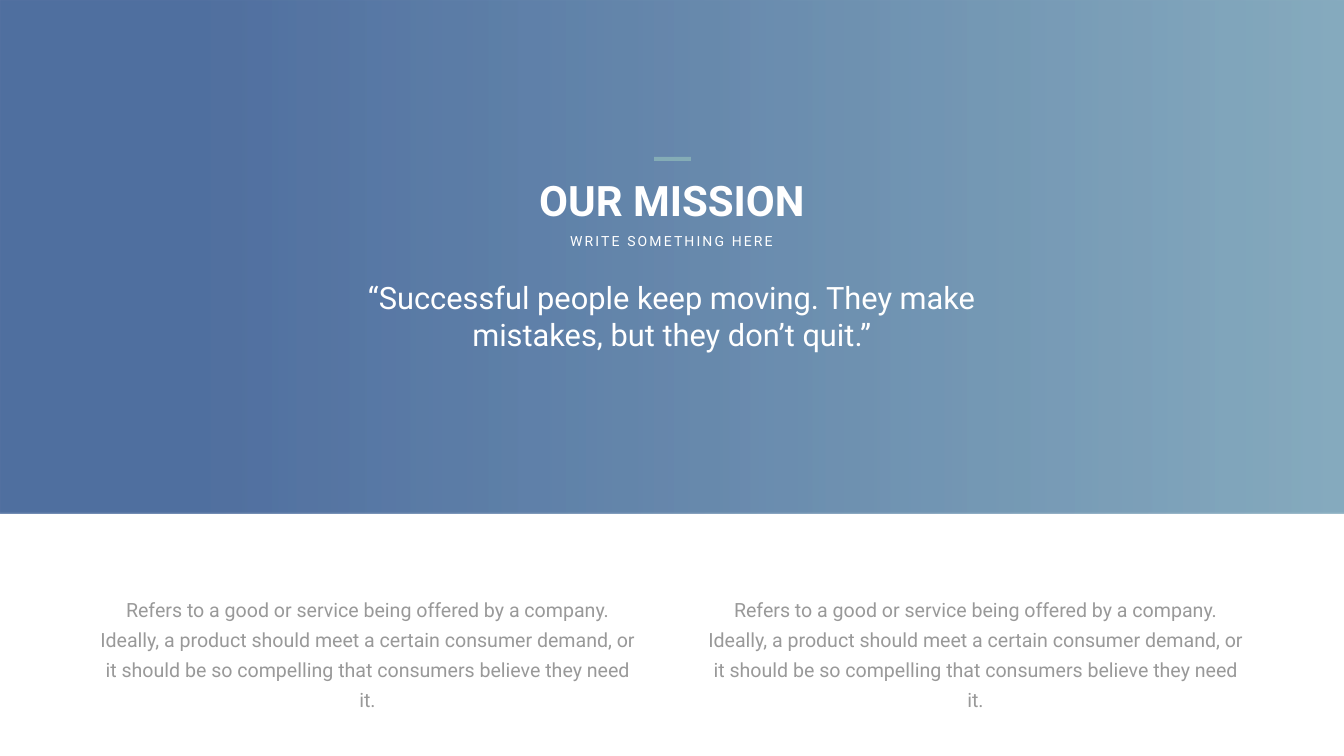
from dataclasses import dataclass

from lxml.etree import SubElement
from pptx import Presentation
from pptx.dml.color import RGBColor
from pptx.enum.shapes import MSO_SHAPE
from pptx.enum.text import MSO_ANCHOR, MSO_AUTO_SIZE, PP_ALIGN
from pptx.oxml.ns import qn
from pptx.util import Pt

EMU_PER_PX = 18143
SLIDE_WIDTH, SLIDE_HEIGHT = 1344, 756


@dataclass(frozen=True)
class Theme:
    font: str = "Roboto"
    white: RGBColor = RGBColor(0xFF, 0xFF, 0xFF)
    grey: RGBColor = RGBColor(0x99, 0x99, 0x99)
    accent: RGBColor = RGBColor(0x84, 0xAC, 0xB6)
    banner_start: RGBColor = RGBColor(0x26, 0x4D, 0x89)
    banner_end: RGBColor = RGBColor(0x69, 0x97, 0xAF)
    banner_opacity: int = 80
    title_size: int = 60
    quote_size: int = 44
    body_size: int = 28
    subtitle_size: int = 20
    subtitle_tracking: int = 3
    body_leading: int = 43


THEME = Theme()


def px(length):
    return length * EMU_PER_PX


def add_block(slide, left, top, width, height):
    block = slide.shapes.add_shape(
        MSO_SHAPE.RECTANGLE, px(left), px(top), px(width), px(height))
    block.shadow.inherit = False
    block.line.fill.background()
    return block


def add_banner(slide, height):
    banner = add_block(slide, 0, 0, SLIDE_WIDTH, height)
    banner.fill.gradient()
    banner.fill.gradient_angle = 0
    start, end = banner.fill.gradient_stops
    start.position, start.color.rgb = 0.15, THEME.banner_start
    end.position, end.color.rgb = 1, THEME.banner_end
    for color in banner._element.spPr.iter(qn("a:srgbClr")):
        SubElement(color, qn("a:alpha"), val=str(THEME.banner_opacity * 1000))


def write_text(frame, text, size, color, bold=False, wrap=True):
    frame.word_wrap = wrap
    frame.auto_size = MSO_AUTO_SIZE.NONE
    frame.vertical_anchor = MSO_ANCHOR.TOP
    paragraph = frame.paragraphs[0]
    paragraph.text = text
    paragraph.alignment = PP_ALIGN.CENTER
    paragraph.font.name = THEME.font
    paragraph.font.size = Pt(size)
    paragraph.font.bold = bold
    paragraph.font.color.rgb = color
    return paragraph


def add_text(slide, left, top, width, height, text, size, color, **options):
    box = slide.shapes.add_textbox(px(left), px(top), px(width), px(height))
    return write_text(box.text_frame, text, size, color, **options), box.text_frame


def place_title(slide, left, top, width, height, text):
    title = slide.shapes.title
    title.left, title.top = px(left), px(top)
    title.width, title.height = px(width), px(height)
    write_text(title.text_frame, text, THEME.title_size, THEME.white, bold=True)


def add_subtitle(slide, left, top, width, height, text):
    subtitle, _ = add_text(slide, left, top, width, height, text,
                           THEME.subtitle_size, THEME.white, wrap=False)
    # Letter spacing is given in hundredths of a point
    subtitle.runs[0]._r.get_or_add_rPr().set(
        "spc", str(THEME.subtitle_tracking * 100))


def add_description(slide, left, top, width, height, text):
    description, frame = add_text(slide, left, top, width, height, text,
                                  THEME.body_size, THEME.grey)
    frame.margin_left = frame.margin_right = px(12)
    frame.margin_top = frame.margin_bottom = px(6)
    description.line_spacing = Pt(THEME.body_leading)


def main():
    presentation = Presentation()
    presentation.slide_width = px(SLIDE_WIDTH)
    presentation.slide_height = px(SLIDE_HEIGHT)
    slide = presentation.slides.add_slide(presentation.slide_layouts[5])

    # Banner behind the heading; the title is moved in front of it
    add_banner(slide, 513)
    slide.shapes._spTree.append(slide.shapes.title._element)

    # Mission heading
    accent_bar = add_block(slide, 654, 157, 37, 4)
    accent_bar.fill.solid()
    accent_bar.fill.fore_color.rgb = THEME.accent
    place_title(slide, 481, 172, 382, 56, "OUR MISSION")
    add_subtitle(slide, 562, 230, 219, 22, "WRITE SOMETHING HERE")
    add_text(slide, 354, 276, 636, 80,
             "“Successful people keep moving. They make mistakes, "
             "but they don’t quit.”", THEME.quote_size, THEME.white)

    # Two description columns
    description = ("Refers to a good or service being offered by a company. "
                   "Ideally, a product should meet a certain consumer demand, "
                   "or it should be so compelling that consumers believe they "
                   "need it.")
    first_column, column_step = 85, 608
    for column in range(2):
        add_description(slide, first_column + column * column_step, 585,
                        565, 101, description)

    presentation.save("out.pptx")


if __name__ == "__main__":
    main()
